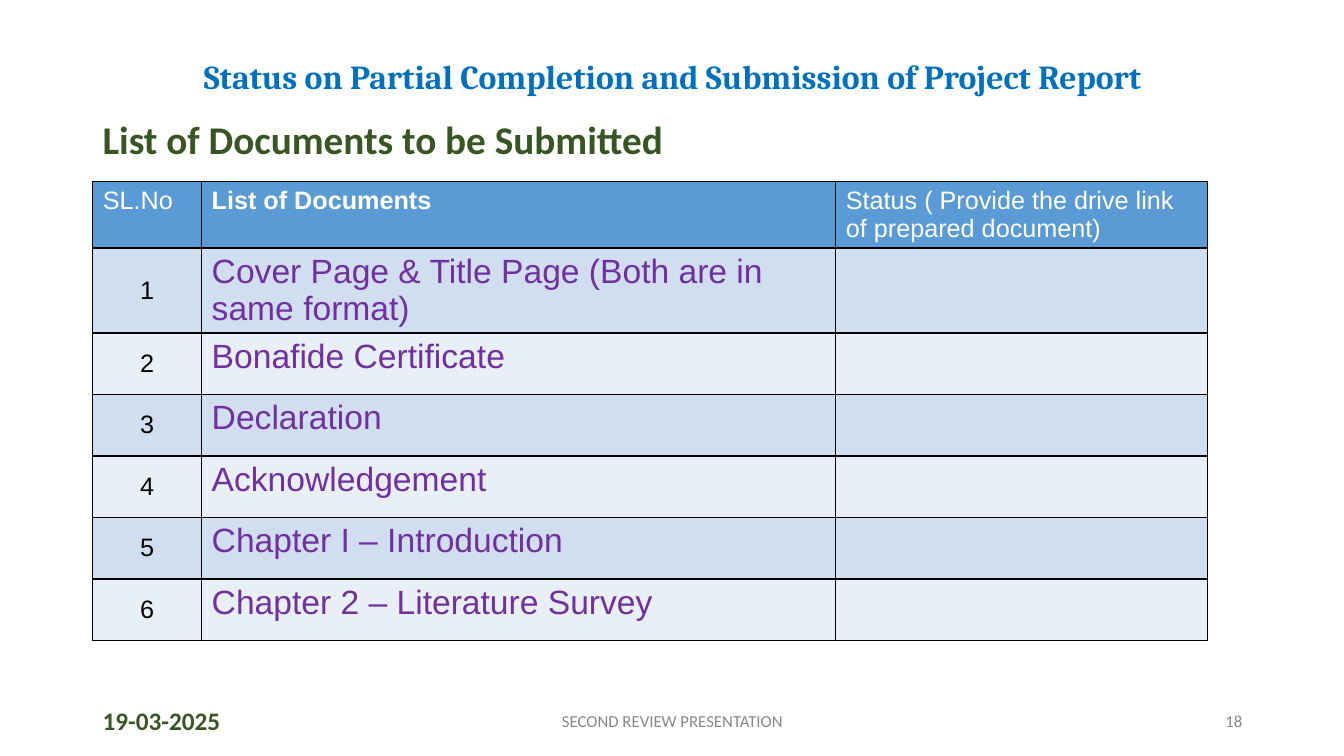
from dataclasses import dataclass

from lxml import etree
from pptx import Presentation
from pptx import util as u
from pptx.dml.color import RGBColor
from pptx.enum import text
from pptx.oxml import ns

PX = 9144  # EMU per px, 100 px to the inch
LEFT, CENTER, RIGHT = text.PP_ALIGN.LEFT, text.PP_ALIGN.CENTER, text.PP_ALIGN.RIGHT
TOP, MIDDLE = text.MSO_ANCHOR.TOP, text.MSO_ANCHOR.MIDDLE


@dataclass(frozen=True)
class Style:
    font: str
    size: int
    color: str
    bold: bool = False


@dataclass(frozen=True)
class Theme:
    title: Style = Style("Cambria", 24, "0070C0", True)
    heading: Style = Style("Calibri", 28, "385623", True)
    date: Style = Style("Calibri", 18, "385623", True)
    footer: Style = Style("Calibri", 12, "888888")
    header: Style = Style("Arial", 18, "FFFFFF")
    header_bold: Style = Style("Arial", 18, "FFFFFF", True)
    number: Style = Style("Arial", 18, "000000")
    document: Style = Style("Arial", 24, "7030A0")
    header_fill: str = "5B9BD5"
    bands: tuple = ("D0DEEF", "E9EFF7")
    border: str = "000000"


class SlideBuilder:
    def __init__(self, prs, theme):
        self.theme = theme
        self.slide = prs.slides.add_slide(prs.slide_layouts[5])

    def add_text(self, tf, words, style, align=LEFT, spacing=None):
        p = tf.paragraphs[0]
        p.alignment = align
        if spacing:
            p.line_spacing = spacing
        r = p.add_run()
        r.text = words
        r.font.name, r.font.size, r.font.bold = style.font, u.Pt(style.size), style.bold
        r.font.color.rgb = RGBColor.from_string(style.color)

    def frame(self, sp, anchor):
        tf = sp.text_frame
        tf.word_wrap = True
        tf.auto_size = text.MSO_AUTO_SIZE.NONE
        tf.vertical_anchor = anchor
        return tf

    def title(self, words, x, y, w, h):
        sp = self.slide.shapes.title
        sp.left, sp.top, sp.width, sp.height = (v * PX for v in (x, y, w, h))
        self.add_text(self.frame(sp, MIDDLE), words, self.theme.title, CENTER, 0.9)

    def label(self, words, style, x, y, w, h, align=LEFT, anchor=MIDDLE, spacing=None):
        sp = self.slide.shapes.add_textbox(x * PX, y * PX, w * PX, h * PX)
        self.add_text(self.frame(sp, anchor), words, style, align, spacing)

    def cell(self, cell, fill, words="", style=None, align=LEFT, anchor=TOP):
        cell.fill.solid()
        cell.fill.fore_color.rgb = RGBColor.from_string(fill)
        cell.vertical_anchor = anchor
        if words:
            self.add_text(cell.text_frame, words, style, align)
        tc_pr = cell._tc.get_or_add_tcPr()
        for i, side in enumerate(("lnL", "lnR", "lnT", "lnB")):
            ln = etree.Element(ns.qn(f"a:{side}"), w=str(u.Pt(1)))
            solid = etree.SubElement(ln, ns.qn("a:solidFill"))
            etree.SubElement(solid, ns.qn("a:srgbClr"), val=self.theme.border)
            tc_pr.insert(i, ln)

    def document_table(self, headers, documents, x, y, col_widths, row_height):
        t = self.theme
        rows = len(documents) + 1
        table = self.slide.shapes.add_table(
            rows, len(headers), x * PX, y * PX,
            sum(col_widths) * PX, rows * row_height * PX).table
        for column, width in zip(table.columns, col_widths):
            column.width = width * PX
        for row in table.rows:
            row.height = row_height * PX
        for c, (words, style) in enumerate(headers):
            self.cell(table.cell(0, c), t.header_fill, words, style)
        for n, document in enumerate(documents, 1):
            fill = t.bands[(n - 1) % 2]
            self.cell(table.cell(n, 0), fill, str(n), t.number, CENTER, MIDDLE)
            self.cell(table.cell(n, 1), fill, document, t.document)
            self.cell(table.cell(n, 2), fill)


def main():
    prs = Presentation()
    prs.slide_width, prs.slide_height = 1333 * PX, 750 * PX
    theme = Theme()
    s = SlideBuilder(prs, theme)
    s.title("Status on Partial Completion and Submission of Project Report", 92, 40, 1150, 75)
    s.label("List of Documents to be Submitted", theme.heading, 92, 115, 1150, 60,
            anchor=TOP, spacing=0.9)
    s.document_table(
        [("SL.No", theme.header),
         ("List of Documents", theme.header_bold),
         ("Status ( Provide the drive link of prepared document)", theme.header)],
        ["Cover Page & Title Page (Both are in same format)",
         "Bonafide Certificate",
         "Declaration",
         "Acknowledgement",
         "Chapter I – Introduction",
         "Chapter 2 – Literature Survey"],
        92, 180, (108, 629, 369), 61)
    s.label("19-03-2025", theme.date, 92, 695, 300, 40)
    s.label("SECOND REVIEW PRESENTATION", theme.footer, 442, 695, 450, 40, CENTER)
    s.label("18", theme.footer, 942, 695, 300, 40, RIGHT)
    prs.save("out.pptx")


if __name__ == "__main__":
    main()
